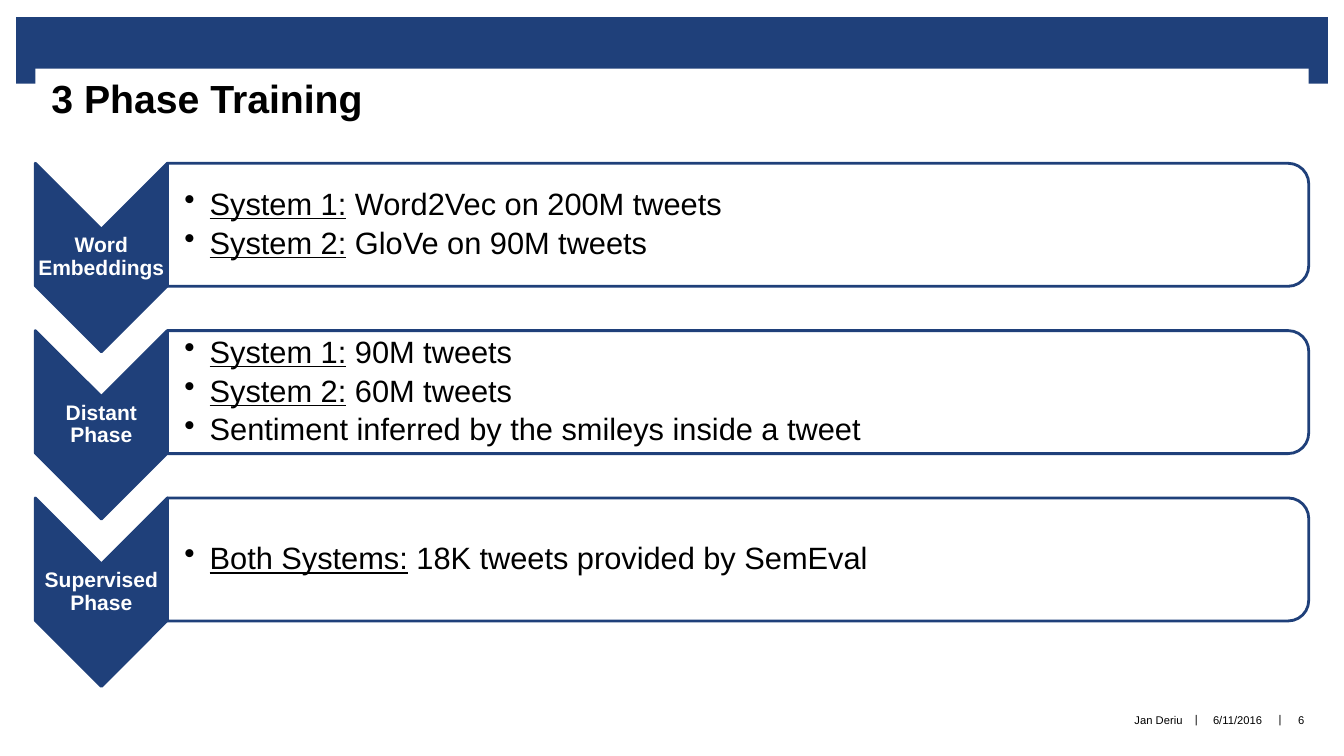
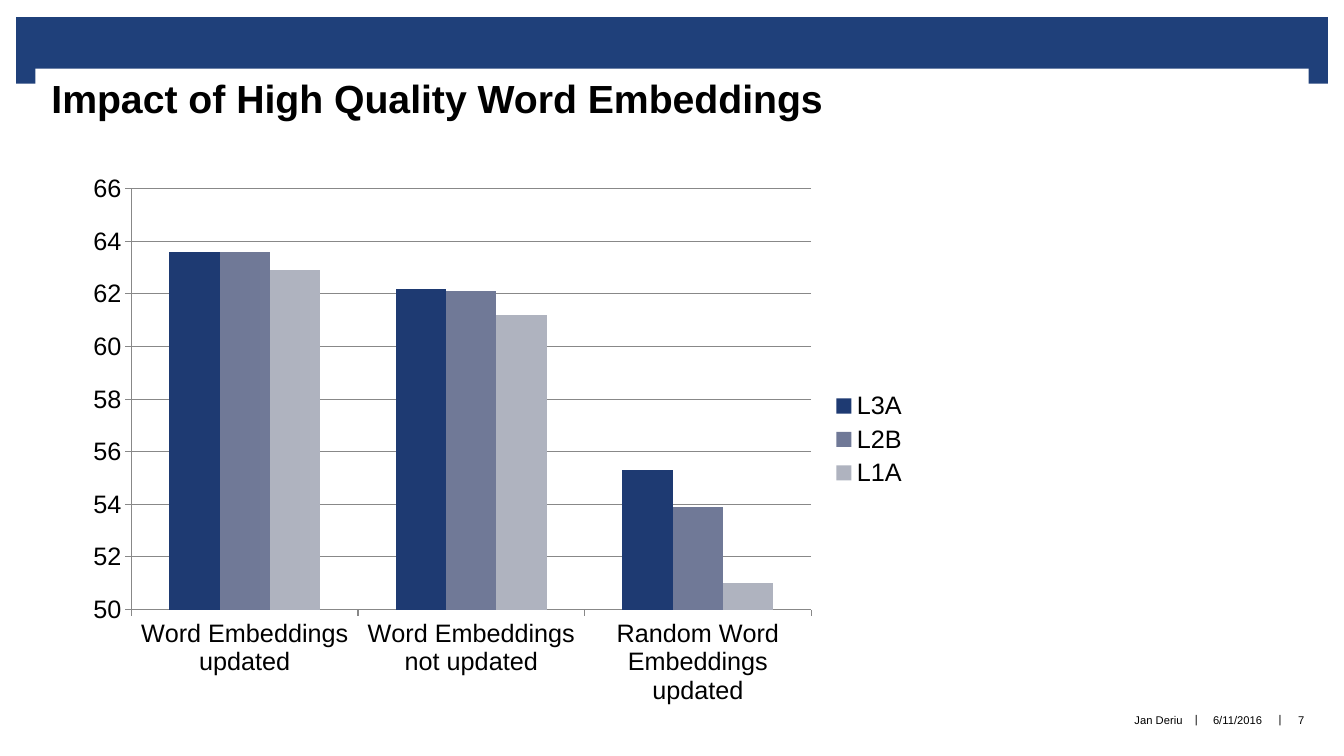
"""Build two slides: the three training phases and a chart of embedding quality."""
from lxml.etree import SubElement
from pptx import Presentation
from pptx.chart.data import CategoryChartData
from pptx.dml.color import RGBColor
from pptx.enum.chart import XL_CHART_TYPE as ChartType, XL_LEGEND_POSITION as LegendPosition
from pptx.enum.chart import XL_TICK_MARK as TickMark
from pptx.enum.shapes import MSO_SHAPE as Shape
from pptx.enum.text import MSO_ANCHOR as Anchor, PP_ALIGN as Align
from pptx.oxml.ns import qn
from pptx.util import Inches, Pt

NAVY = RGBColor(0x1F, 0x40, 0x7A)
WHITE = RGBColor(0xFF, 0xFF, 0xFF)
BLACK = RGBColor(0, 0, 0)
GRID_GRAY = RGBColor(0x88, 0x88, 0x88)
SERIES_COLORS = [RGBColor(0x1E, 0x3A, 0x72), RGBColor(0x70, 0x79, 0x97), RGBColor(0xAF, 0xB3, 0xBF)]
FONT = "Arial"

WIDTH, HEIGHT = 13.33, 7.5
MARGIN = 0.16
TAB = 0.2
LEFT = MARGIN + TAB - 0.01
CONTENT = WIDTH - 2 * LEFT
LABEL_COLUMN = 1.31
CARD_COLUMN = CONTENT - LABEL_COLUMN
FIRST_ROW, ROW_PITCH = 1.62, 1.66
CARD_ROW, ARROW_ROW = 1.22, 1.87
FOOTER_TOP, FOOTER_ROW = 6.9, 0.51


def add_block(page, kind, left, top, width, height, fill=NAVY, outlined=False, turned=False):
    if turned:
        left, top = left + (width - height) / 2, top + (height - width) / 2
        width, height = height, width
    block = page.shapes.add_shape(kind, *map(Inches, (left, top, width, height)))
    block.shadow.inherit = False
    block.rotation = 90 if turned else 0
    block.fill.solid()
    block.fill.fore_color.rgb = fill
    if outlined:
        block.line.color.rgb = NAVY
        block.line.width = Pt(2)
    else:
        block.line.fill.background()
    return block


def add_text(page, lines, left, top, width, height, size, color=BLACK, bold=False,
             align=Align.LEFT, wrap=True, inset=0, bulleted=False):
    box = page.shapes.add_textbox(*map(Inches, (left, top, width, height)))
    frame = box.text_frame
    settings = {"word_wrap": wrap, "vertical_anchor": Anchor.MIDDLE, "margin_left": Inches(inset),
                "margin_right": 0, "margin_top": 0, "margin_bottom": 0}
    for name, value in settings.items():
        setattr(frame, name, value)
    for index, (lead, rest) in enumerate(lines):
        para = frame.paragraphs[0] if index == 0 else frame.add_paragraph()
        para.alignment = align
        para.line_spacing = 0.9
        if bulleted:
            para.space_after = Pt(4)
            properties = para._p.get_or_add_pPr()
            properties.set("marL", str(Inches(0.25)))
            properties.set("indent", str(-Inches(0.25)))
            SubElement(properties, qn("a:buChar")).set("char", "•")
        for words, underline in ((lead, True), (rest, False)):
            if words:
                span = para.add_run()
                span.text = words
                span.font.color.rgb = color
                looks = {"name": FONT, "size": Pt(size), "bold": bold, "underline": underline}
                for name, value in looks.items():
                    setattr(span.font, name, value)
    return box


deck = Presentation()
deck.slide_width, deck.slide_height = Inches(WIDTH), Inches(HEIGHT)
layout = deck.slide_layouts[5]
title_frame = {"left": LEFT, "top": 0.68, "width": CONTENT, "height": 1.06}
for name, value in title_frame.items():
    setattr(layout.placeholders[0], name, Inches(value))

titles = ["3 Phase Training", "Impact of High Quality Word Embeddings"]
pages = [deck.slides.add_slide(layout) for title in titles]
phase_page, chart_page = pages

shared = [
    add_block(phase_page, Shape.RECTANGLE, left, top, width, height)
    for left, top, width, height in [
        (MARGIN, 0.17, WIDTH - 2 * MARGIN, 0.52),
        (MARGIN, 0.65, TAB, 0.18),
        (WIDTH - MARGIN - TAB, 0.65, TAB, 0.18),
    ]
]
for left in (11.79, 12.62):
    shared.append(add_text(phase_page, [("", "|")], left, FOOTER_TOP - 0.01, 0.15, FOOTER_ROW, 8,
                           align=Align.CENTER, wrap=False))
for block in shared:
    layout.shapes._spTree.append(block._element)

for number, (page, words) in enumerate(zip(pages, titles), start=6):
    title = page.shapes.title
    title.fill.solid()
    title.fill.fore_color.rgb = WHITE
    frame = title.text_frame
    frame.text = words
    settings = {"vertical_anchor": Anchor.TOP, "margin_left": Inches(0.16),
                "margin_right": Inches(0.16), "margin_top": Inches(0.06), "margin_bottom": 0}
    for name, value in settings.items():
        setattr(frame, name, value)
    para = frame.paragraphs[0]
    para.alignment = Align.LEFT
    para.font.color.rgb = BLACK
    for name, value in {"name": FONT, "size": Pt(28), "bold": True}.items():
        setattr(para.font, name, value)
    footers = [("Jan Deriu", 6.66, 5.07, Align.RIGHT), ("6/11/2016", 11.94, 0.67, Align.CENTER),
               (str(number), 12.71, 0.39, Align.CENTER)]
    for footer, left, width, align in footers:
        add_text(page, [("", footer)], left, FOOTER_TOP, width, FOOTER_ROW, 8, align=align)

phases = [
    ("Word Embeddings", [("System 1:", " Word2Vec on 200M tweets"),
                         ("System 2:", " GloVe on 90M tweets")]),
    ("Distant Phase", [("System 1:", " 90M tweets"), ("System 2:", " 60M tweets"),
                       ("", "Sentiment inferred by the smileys inside a tweet")]),
    ("Supervised Phase", [("Both Systems:", " 18K tweets provided by SemEval")]),
]
for row, (phase, details) in enumerate(phases):
    top = FIRST_ROW + row * ROW_PITCH
    card_left = LEFT + LABEL_COLUMN
    add_block(phase_page, Shape.CHEVRON, LEFT, top, LABEL_COLUMN, ARROW_ROW,
              outlined=True, turned=True)
    add_text(phase_page, [("", phase)], LEFT, top + LABEL_COLUMN / 2, LABEL_COLUMN,
             ARROW_ROW - LABEL_COLUMN, 15, WHITE, bold=True, align=Align.CENTER)
    add_block(phase_page, Shape.ROUND_2_SAME_RECTANGLE, card_left, top, CARD_COLUMN, CARD_ROW,
              fill=WHITE, outlined=True, turned=True)
    add_text(phase_page, details, card_left, top + 0.06, CARD_COLUMN - 0.06, CARD_ROW - 0.12, 22,
             inset=0.17, bulleted=True)

chart_data = CategoryChartData()
chart_data.categories = ["Word Embeddings updated", "Word Embeddings not updated",
                         "Random Word Embeddings updated"]
scores = {"L3A": (63.6, 62.2, 55.3), "L2B": (63.6, 62.1, 53.9), "L1A": (62.9, 61.2, 51)}
for name, values in scores.items():
    chart_data.add_series(name, values)
chart = chart_page.shapes.add_chart(ChartType.COLUMN_CLUSTERED,
                                    *map(Inches, (0.76, 1.62, 8.35, 5.48)), chart_data).chart
chart.has_title = False
chart.font.name = FONT
chart.font.size = Pt(18)
chart.font.color.rgb = BLACK
chart.has_legend = True
chart.legend.position = LegendPosition.RIGHT
chart.legend.include_in_layout = False

plot = chart.plots[0]
plot.vary_by_categories = False
plot.gap_width, plot.overlap = 150, 0
for series, color in zip(plot.series, SERIES_COLORS):
    series.format.fill.solid()
    series.format.fill.fore_color.rgb = color

value_axis = chart.value_axis
scale = {"minimum_scale": 50, "maximum_scale": 66, "major_unit": 2, "has_major_gridlines": True}
for name, value in scale.items():
    setattr(value_axis, name, value)
for axis in (value_axis, chart.category_axis):
    axis.major_tick_mark = TickMark.OUTSIDE
    axis.format.line.color.rgb = GRID_GRAY
value_axis.major_gridlines.format.line.color.rgb = GRID_GRAY

deck.save("out.pptx")
